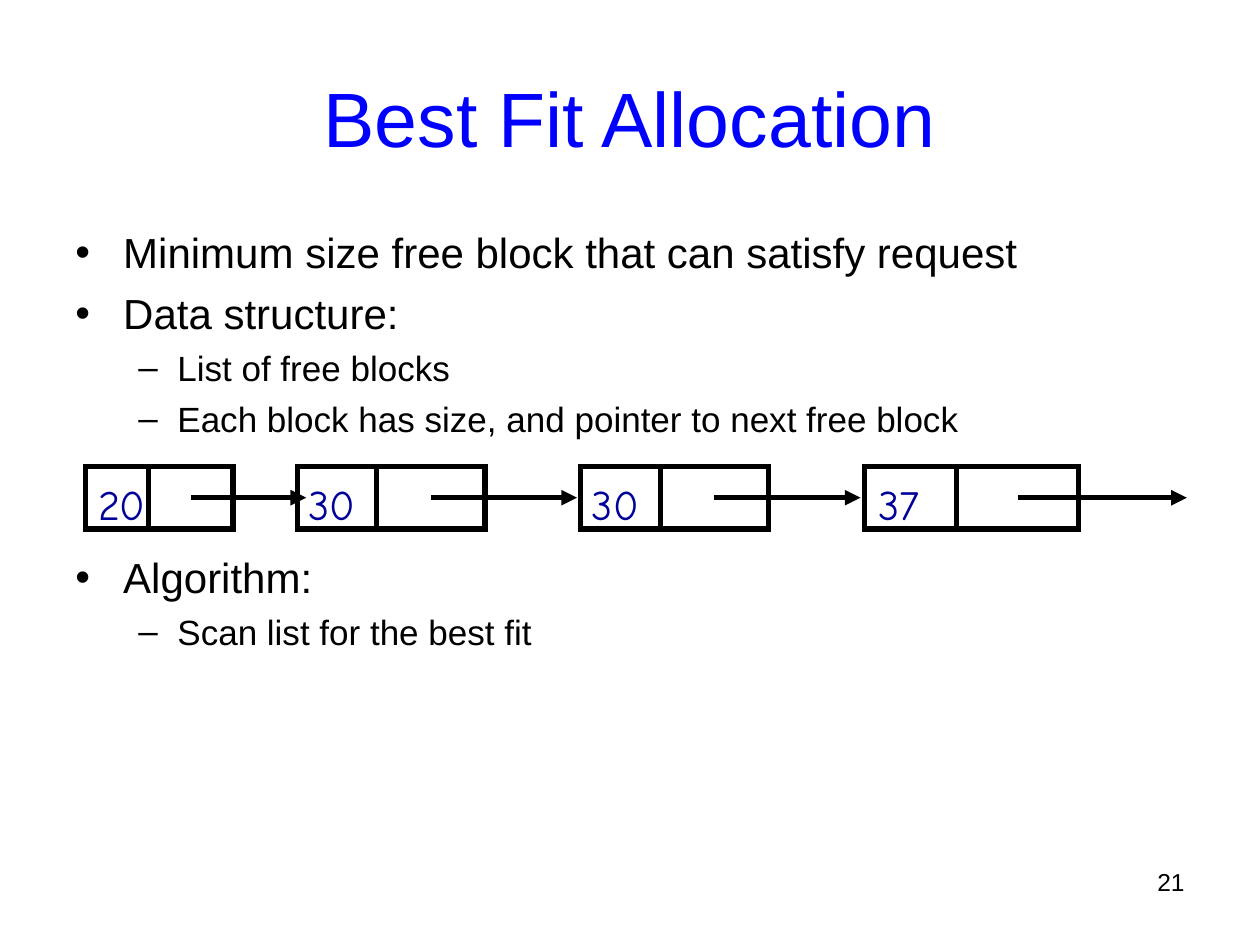
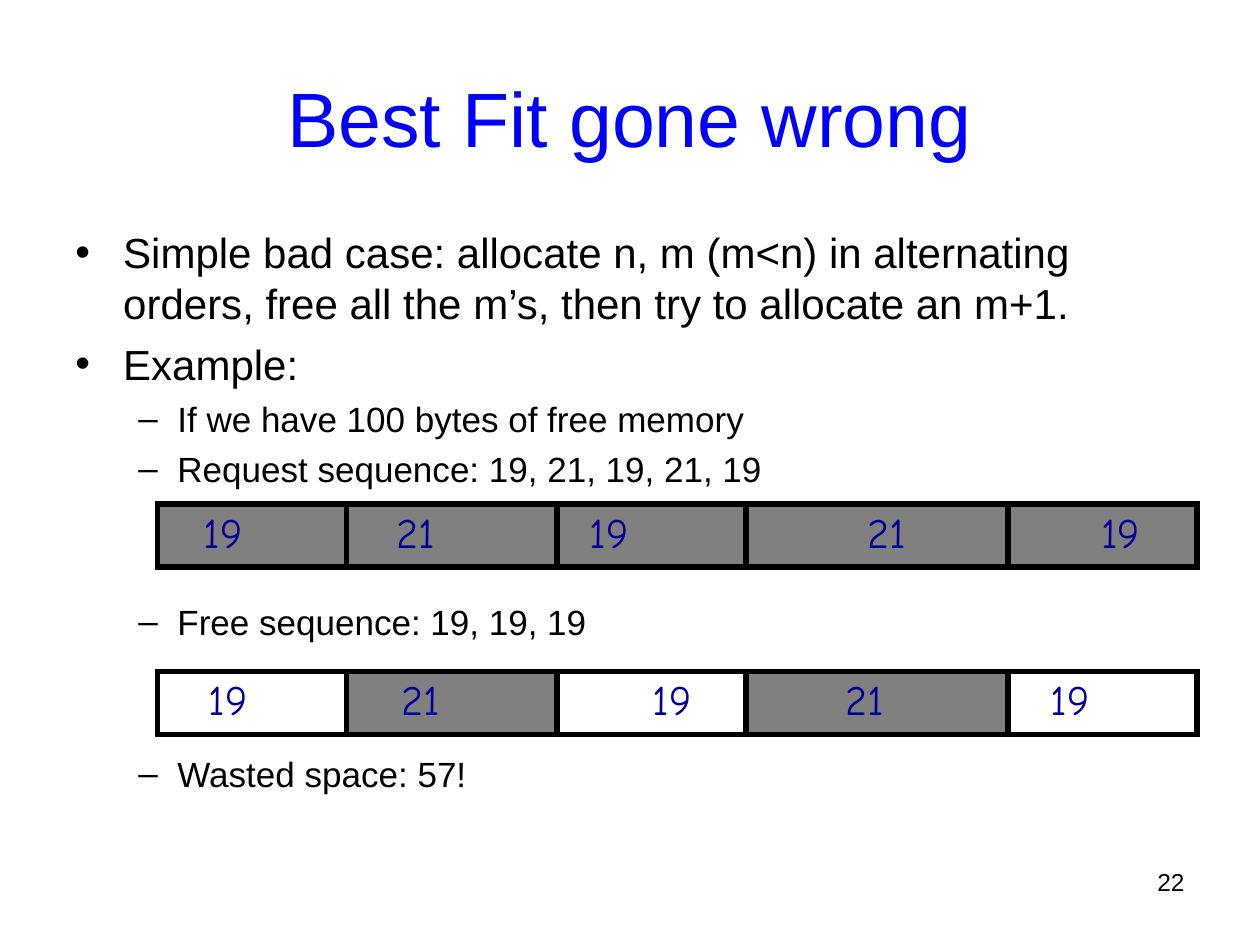
import dataclasses
import itertools
import typing

import lxml.etree
import pptx
import pptx.dml.color
import pptx.enum.shapes
import pptx.enum.text
import pptx.oxml.ns
import pptx.util

Inches = pptx.util.Inches
Pt = pptx.util.Pt
ALIGN = pptx.enum.text.PP_ALIGN
ANCHOR = pptx.enum.text.MSO_ANCHOR


@dataclasses.dataclass(frozen=True)
class Theme:
    title_color: str = "0000FF"
    ink: str = "000000"
    size_color: str = "000099"
    used: str = "808080"
    free: str = "FFFFFF"
    body_font: str = "Arial"
    size_font: str = "Comic Neue"
    title_pt: int = 44
    topic_pt: int = 24
    detail_pt: int = 20
    page_pt: int = 14
    line_pt: int = 3


THEME = Theme()
BLOCK_HEIGHT = 0.5


@dataclasses.dataclass(frozen=True)
class Level:
    mark: str
    size: int
    margin: float
    hanging: float
    before: int


TOPIC = Level("•", THEME.topic_pt, 0.38, 0.38, 6)
DETAIL = Level("–", THEME.detail_pt, 0.81, 0.31, 5)


class Point(typing.NamedTuple):
    text: str
    level: Level
    gap: int = 0


class ListNode(typing.NamedTuple):
    size: str
    left: float
    width: float
    label_left: float
    label_width: float
    divider: float
    pointer: float
    target: float


class MemoryRow(typing.NamedTuple):
    top: float
    label_left: float
    label_width: float
    tabs: tuple[float, ...]
    freed: frozenset[str]


def rgb(color: str) -> pptx.dml.color.RGBColor:
    return pptx.dml.color.RGBColor.from_string(color)


def add_xml(parent, tag: str, **attributes: str):
    return lxml.etree.SubElement(parent, pptx.oxml.ns.qn(tag), attributes)


def write(paragraph, text: str, *, size: int, font: str = THEME.body_font,
          color: str = THEME.ink, align=ALIGN.LEFT) -> None:
    paragraph.alignment = align
    run = paragraph.add_run()
    run.text = text
    run.font.size = Pt(size)
    run.font.name = font
    run.font.color.rgb = rgb(color)


def add_frame(slide, left: float, top: float, width: float, height: float):
    box = slide.shapes.add_textbox(Inches(left), Inches(top), Inches(width), Inches(height))
    box.text_frame.word_wrap = True
    return box.text_frame


def set_outline(line) -> None:
    line.color.rgb = rgb(THEME.ink)
    line.width = Pt(THEME.line_pt)


def add_block(slide, left: float, top: float, width: float,
              fill: typing.Optional[str] = None) -> None:
    block = slide.shapes.add_shape(
        pptx.enum.shapes.MSO_SHAPE.RECTANGLE,
        Inches(left), Inches(top), Inches(width), Inches(BLOCK_HEIGHT))
    block.shadow.inherit = False
    if fill:
        block.fill.solid()
        block.fill.fore_color.rgb = rgb(fill)
    else:
        block.fill.background()
    set_outline(block.line)
    add_xml(block.line._get_or_add_ln(), "a:miter", lim="800000")


def add_line(slide, x1: float, y1: float, x2: float, y2: float, arrow: bool = False) -> None:
    stroke = slide.shapes.add_connector(
        pptx.enum.shapes.MSO_CONNECTOR.STRAIGHT,
        Inches(x1), Inches(y1), Inches(x2), Inches(y2))
    set_outline(stroke.line)
    if arrow:
        add_xml(stroke.line._get_or_add_ln(), "a:tailEnd", type="triangle")
    add_xml(stroke._element.spPr, "a:effectLst")


def add_points(slide, points: list[Point]) -> None:
    frame = add_frame(slide, 0.5, 1.75, 9, 4.95)
    for index, point in enumerate(points):
        paragraph = frame.add_paragraph() if index else frame.paragraphs[0]
        level = point.level
        write(paragraph, point.text, size=level.size)
        paragraph.space_before = Pt(point.gap or level.before)
        properties = paragraph._p.get_or_add_pPr()
        properties.set("marL", str(Inches(level.margin)))
        properties.set("indent", str(-Inches(level.hanging)))
        mark_color = add_xml(properties, "a:buClr")
        add_xml(mark_color, "a:srgbClr", val=THEME.ink)
        add_xml(properties, "a:buFont", typeface=THEME.body_font)
        add_xml(properties, "a:buChar", char=level.mark)


def add_topic_slide(deck, title: str, page: int, points: list[Point]):
    slide = deck.slides.add_slide(deck.slide_layouts.get_by_name("Title Only"))
    heading = slide.shapes.title
    heading.left, heading.top = Inches(0.5), Inches(0.3)
    heading.width, heading.height = Inches(9), Inches(1.25)
    heading.text_frame.auto_size = pptx.enum.text.MSO_AUTO_SIZE.NONE
    heading.text_frame.vertical_anchor = ANCHOR.MIDDLE
    write(heading.text_frame.paragraphs[0], title, size=THEME.title_pt,
          color=THEME.title_color, align=ALIGN.CENTER)
    add_points(slide, points)
    page_frame = add_frame(slide, 7.17, 6.83, 2.33, 0.52)
    write(page_frame.paragraphs[0], str(page), size=THEME.page_pt, align=ALIGN.RIGHT)
    return slide


def add_sizes(slide, text: str, left: float, top: float, width: float):
    frame = add_frame(slide, left, top, width, BLOCK_HEIGHT)
    frame.margin_right = 0
    paragraph = frame.paragraphs[0]
    write(paragraph, text, size=THEME.topic_pt, font=THEME.size_font,
          color=THEME.size_color)
    return paragraph


def draw_node(slide, node: ListNode, top: float = 3.7) -> None:
    add_block(slide, node.left, top, node.width)
    add_sizes(slide, node.size, node.label_left, top + 0.05, node.label_width)
    middle = top + BLOCK_HEIGHT / 2
    add_line(slide, node.divider, top, node.divider, top + BLOCK_HEIGHT)
    add_line(slide, node.pointer, middle, node.target, middle, arrow=True)


def draw_memory(slide, row: MemoryRow) -> None:
    sizes = ("19", "21", "19", "21", "19")
    edges = (1.25, 2.75, 4.42, 5.92, 8, 9.5)
    for size, (left, right) in zip(sizes, itertools.pairwise(edges)):
        add_block(slide, left, row.top, right - left,
                  THEME.free if size in row.freed else THEME.used)
    paragraph = add_sizes(slide, "\t".join(sizes), row.label_left,
                          row.top - 0.03, row.label_width)
    tab_list = add_xml(paragraph._p.get_or_add_pPr(), "a:tabLst")
    for position in row.tabs:
        add_xml(tab_list, "a:tab", pos=str(Inches(position)), algn="l")


def main() -> None:
    deck = pptx.Presentation()
    deck.slide_width, deck.slide_height = Inches(10), Inches(7.5)

    best_fit = add_topic_slide(deck, "Best Fit Allocation", 21, [
        Point("Minimum size free block that can satisfy request", TOPIC),
        Point("Data structure:", TOPIC),
        Point("List of free blocks", DETAIL),
        Point("Each block has size, and pointer to next free block", DETAIL),
        Point("Algorithm:", TOPIC, gap=64),
        Point("Scan list for the best fit", DETAIL),
    ])
    for node in (
        ListNode("20", 0.68, 1.17, 0.68, 0.57, 1.18, 1.52, 2.43),
        ListNode("30", 2.36, 1.49, 2.35, 0.57, 2.99, 3.42, 4.58),
        ListNode("30", 4.61, 1.49, 4.6, 0.57, 5.24, 5.67, 6.83),
        ListNode("37", 6.86, 1.7, 6.87, 0.52, 7.59, 8.08, 9.42),
    ):
        draw_node(best_fit, node)

    gone_wrong = add_topic_slide(deck, "Best Fit gone wrong", 22, [
        Point("Simple bad case: allocate n, m (m<n) in alternating orders, "
              "free all the m’s, then try to allocate an m+1.", TOPIC),
        Point("Example:", TOPIC),
        Point("If we have 100 bytes of free memory", DETAIL),
        Point("Request sequence: 19, 21, 19, 21, 19", DETAIL),
        Point("Free sequence: 19, 19, 19", DETAIL, gap=63),
        Point("Wasted space: 57!", DETAIL, gap=63),
    ])
    for row in (
        MemoryRow(4, 1.52, 7.64, (1.53, 3.06, 5.27, 7.12), frozenset()),
        MemoryRow(5.33, 1.56, 7.19, (1.53, 3.52, 5.05, 6.68), frozenset({"19"})),
    ):
        draw_memory(gone_wrong, row)

    deck.save("out.pptx")


if __name__ == "__main__":
    main()
